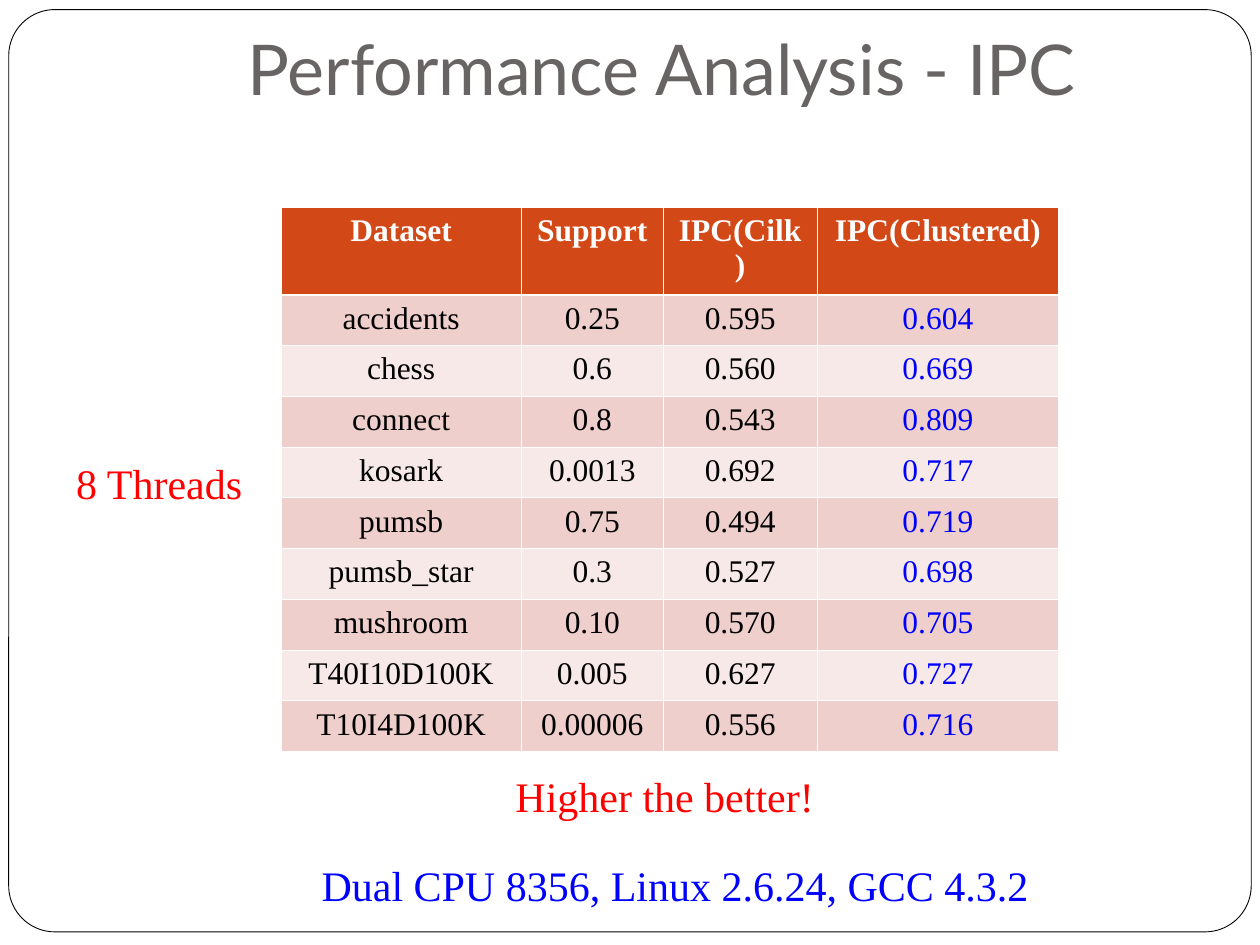
from dataclasses import dataclass

import pptx
import pptx.dml.color
import pptx.enum.shapes
import pptx.enum.text
import pptx.oxml
import pptx.oxml.ns
import pptx.util

Pt = pptx.util.Pt
ALIGN = pptx.enum.text.PP_ALIGN
ANCHOR = pptx.enum.text.MSO_ANCHOR

SERIF = "Times New Roman"
WHITE, BLACK, RED, BLUE = "FFFFFF", "000000", "FF0000", "0000FF"
HEADER_FILL, BANDS = "D34817", ("EFCFCC", "F7E9E7")
THIN, THICK = 0.45, 1.47

COLUMN_WIDTHS = (137.5, 81, 88, 138)
HEADER_HEIGHT, ROW_HEIGHT = 50, 29
ROWS = (
    ("Dataset", "Support", "IPC(Cilk)", "IPC(Clustered)"),
    ("accidents", "0.25", "0.595", "0.604"),
    ("chess", "0.6", "0.560", "0.669"),
    ("connect", "0.8", "0.543", "0.809"),
    ("kosark", "0.0013", "0.692", "0.717"),
    ("pumsb", "0.75", "0.494", "0.719"),
    ("pumsb_star", "0.3", "0.527", "0.698"),
    ("mushroom", "0.10", "0.570", "0.705"),
    ("T40I10D100K", "0.005", "0.627", "0.727"),
    ("T10I4D100K", "0.00006", "0.556", "0.716"),
)


@dataclass
class Note:
    text: str
    left: float
    top: float
    width: float
    color: str
    align: ALIGN = ALIGN.LEFT
    wrap: bool = False


NOTES = (
    Note("8 Threads", 36.5, 258, 125, RED),
    Note("Higher the better!", 287.5, 437, 216, RED),
    Note("Dual CPU 8356, Linux 2.6.24, GCC 4.3.2", 116.5, 487.5, 538.5, BLUE,
         ALIGN.CENTER, True),
)


def rgb(value: str) -> pptx.dml.color.RGBColor:
    return pptx.dml.color.RGBColor.from_string(value)


def write(tf, text: str, color: str, align: ALIGN, **font) -> None:
    """Put one formatted paragraph into a text frame."""
    p = tf.paragraphs[0]
    p.alignment = align
    r = p.add_run()
    r.text = text
    r.font.color.rgb = rgb(color)
    for name, value in font.items():
        setattr(r.font, name, value)


def add_border(cell, side: str, width: float) -> None:
    # Borders must come before the fill in the cell properties.
    cell._tc.get_or_add_tcPr().append(pptx.oxml.parse_xml(
        f'<a:{side} {pptx.oxml.ns.nsdecls("a")} w="{Pt(width)}"><a:solidFill>'
        f'<a:srgbClr val="{WHITE}"/></a:solidFill></a:{side}>'))


def add_frame(s) -> None:
    sp = s.shapes.add_shape(pptx.enum.shapes.MSO_SHAPE.ROUNDED_RECTANGLE,
                            Pt(5), Pt(5.5), Pt(710), Pt(527))
    sp.adjustments[0] = 0.05
    sp.shadow.inherit = False
    sp.fill.solid()
    sp.fill.fore_color.rgb = rgb(WHITE)
    sp.line.color.rgb = rgb(BLACK)
    sp.line.width = Pt(0.5)
    s.shapes._spTree.insert(2, sp._element)


def format_title(s, text: str) -> None:
    sp = s.shapes.title
    place = dict(left=72, top=7, width=612, height=63)
    for name, value in place.items():
        setattr(sp, name, Pt(value))
    tf = sp.text_frame
    frame = dict(margin_left=Pt(7.2), margin_right=Pt(7.2), margin_top=Pt(3.6),
                 margin_bottom=Pt(7.2), vertical_anchor=ANCHOR.BOTTOM,
                 word_wrap=True, auto_size=pptx.enum.text.MSO_AUTO_SIZE.NONE)
    for name, value in frame.items():
        setattr(tf, name, value)
    write(tf, text, "696464", ALIGN.CENTER, name="Lato", size=Pt(40))


def add_results(s) -> None:
    height = HEADER_HEIGHT + ROW_HEIGHT * (len(ROWS) - 1)
    table = s.shapes.add_table(len(ROWS), len(COLUMN_WIDTHS), Pt(160.5), Pt(118.5),
                               Pt(sum(COLUMN_WIDTHS)), Pt(height)).table
    for column, width in zip(table.columns, COLUMN_WIDTHS):
        column.width = Pt(width)
    for i, values in enumerate(ROWS):
        header = i == 0
        table.rows[i].height = Pt(HEADER_HEIGHT if header else ROW_HEIGHT)
        fill = HEADER_FILL if header else BANDS[(i - 1) % 2]
        borders = dict(lnL=THIN, lnR=THIN, lnT=THICK if i == 1 else THIN,
                       lnB=THICK if header else THIN)
        for j, value in enumerate(values):
            cell = table.cell(i, j)
            for side, width in borders.items():
                add_border(cell, side, width)
            cell.fill.solid()
            cell.fill.fore_color.rgb = rgb(fill)
            last = j == len(values) - 1
            color = WHITE if header else BLUE if last else BLACK
            write(cell.text_frame, value, color, ALIGN.CENTER,
                  name=SERIF, size=Pt(18), bold=header)


def add_note(s, note: Note) -> None:
    sp = s.shapes.add_textbox(Pt(note.left), Pt(note.top), Pt(note.width), Pt(36))
    tf = sp.text_frame
    tf.word_wrap = note.wrap
    tf.auto_size = pptx.enum.text.MSO_AUTO_SIZE.SHAPE_TO_FIT_TEXT
    write(tf, note.text, note.color, note.align, name=SERIF, size=Pt(24))


def main() -> None:
    prs = pptx.Presentation()
    prs.slide_width, prs.slide_height = Pt(720), Pt(540)
    s = prs.slides.add_slide(prs.slide_layouts[5])
    add_frame(s)
    format_title(s, "Performance Analysis - IPC")
    add_results(s)
    for note in NOTES:
        add_note(s, note)
    prs.save("out.pptx")


if __name__ == "__main__":
    main()
